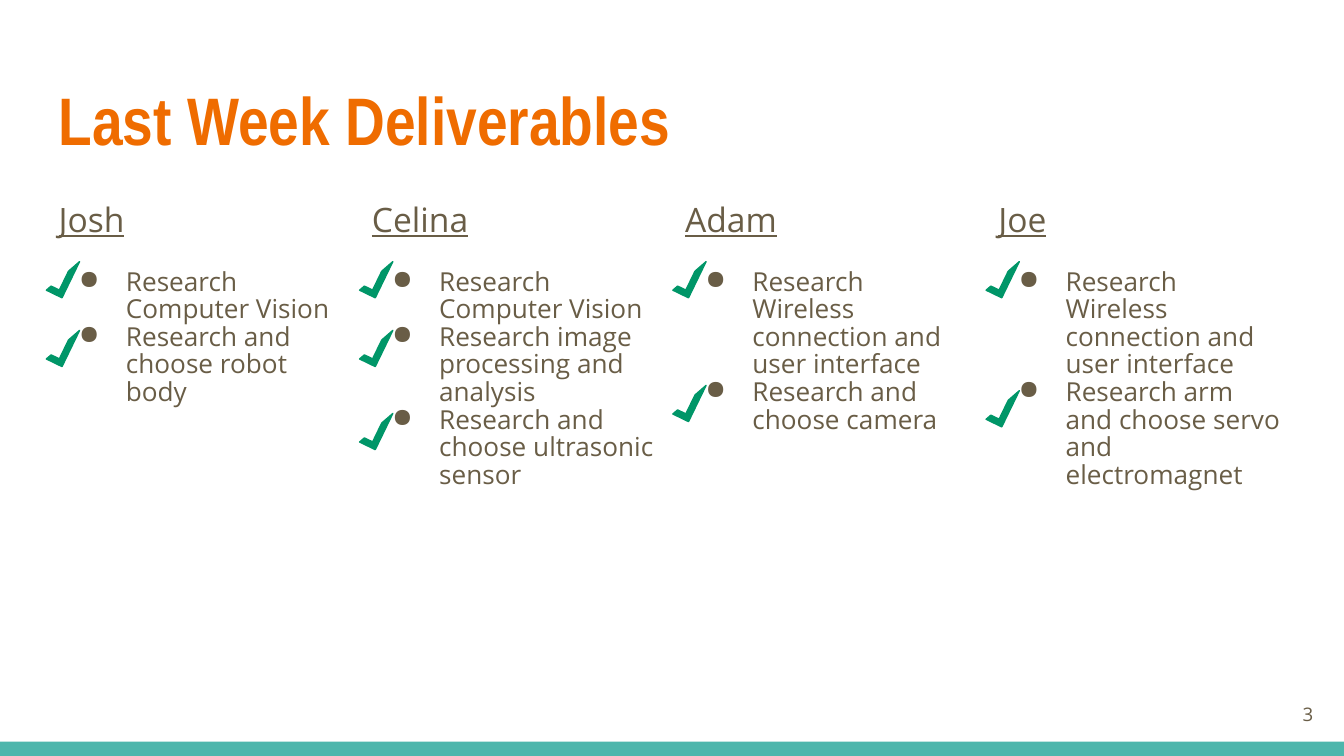
from lxml.etree import SubElement
from pptx import Presentation
from pptx.dml.color import RGBColor
from pptx.enum.shapes import MSO_SHAPE
from pptx.enum.text import MSO_ANCHOR, PP_ALIGN
from pptx.oxml.ns import qn
from pptx.util import Cm, Pt

TITLE = "Last Week Deliverables"
PAGE_NUMBER = "3"
# Each person: name, then (task, top of its check mark in cm)
PEOPLE = [
    ("Josh", [("Research Computer Vision", 5.05),
              ("Research and choose robot body", 6.35)]),
    ("Celina", [("Research Computer Vision", 5.05),
                ("Research image processing and analysis", 6.35),
                ("Research and choose ultrasonic sensor", 7.92)]),
    ("Adam", [("Research Wireless connection and user interface", 5.05),
              ("Research and choose camera", 7.39)]),
    ("Joe", [("Research Wireless connection and user interface", 5.05),
             ("Research arm and choose servo and electromagnet", 7.49)]),
]
COLORS = {"title": "EF6C00", "text": "695D46", "check": "009668", "band": "4DB6AC"}
WIDTH, HEIGHT = 25.4, 14.29
LEFT, COLUMN_WIDTH = 0.86, 5.92
BAND_HEIGHT = 0.27
LINE_SPACING = 0.88


def color(name):
    return RGBColor.from_string(COLORS[name])


def add_box(page, left, top, width, height):
    box = page.shapes.add_textbox(Cm(left), Cm(top), Cm(width), Cm(height))
    frame = box.text_frame
    frame.word_wrap = True
    frame.margin_left = frame.margin_right = Cm(0.25)
    frame.margin_top = frame.margin_bottom = Cm(0.25)
    return frame


def write(para, text, size, ink="text", font="Open Sans"):
    para.text = text
    para.font.size = Pt(size)
    para.font.name = font
    para.font.color.rgb = color(ink)


def add_bullet(para):
    properties = para._p.get_or_add_pPr()
    properties.set("marL", str(Cm(1.27)))
    properties.set("indent", str(-Cm(0.89)))
    bullet_color = SubElement(properties, qn("a:buClr"))
    SubElement(bullet_color, qn("a:srgbClr")).set("val", COLORS["text"])
    SubElement(properties, qn("a:buChar")).set("char", "●")


def add_solid(page, kind, left, top, width, height, fill):
    shape = page.shapes.add_shape(kind, Cm(left), Cm(top), Cm(width), Cm(height))
    shape.shadow.inherit = False
    shape.fill.solid()
    shape.fill.fore_color.rgb = color(fill)
    return shape


def add_check(page, left, top):
    """A half frame, mirrored and turned, reads as a check mark."""
    check = add_solid(page, MSO_SHAPE.HALF_FRAME, left, top, 0.76, 0.33, "check")
    check.line.color.rgb = color("check")
    check.line.width = Pt(0.75)
    check.rotation = 115.9
    check._element.spPr.find(qn("a:xfrm")).set("flipH", "1")


def add_column(page, left, name, tasks):
    frame = add_box(page, left, 3.51, COLUMN_WIDTH, 9.17)
    heading = frame.paragraphs[0]
    write(heading, name, 18)
    heading.font.underline = True
    for index, (task, _) in enumerate(tasks):
        para = frame.add_paragraph()
        write(para, task, 14)
        para.line_spacing = LINE_SPACING
        para.space_before = Pt(0 if index else 16)
        add_bullet(para)


deck = Presentation()
deck.slide_width, deck.slide_height = Cm(WIDTH), Cm(HEIGHT)
page = deck.slides.add_slide(deck.slide_layouts[6])

band = add_solid(page, MSO_SHAPE.RECTANGLE, 0, HEIGHT - BAND_HEIGHT,
                 WIDTH, BAND_HEIGHT, "band")
band.line.fill.background()

title = add_box(page, LEFT, 1.24, WIDTH - 2 * LEFT, 1.96).paragraphs[0]
write(title, TITLE, 36, "title", "Arial Narrow")
title.font.bold = True

number_frame = add_box(page, 23.55, 12.95, 1.52, 1.09)
number_frame.vertical_anchor = MSO_ANCHOR.MIDDLE
number = number_frame.paragraphs[0]
write(number, PAGE_NUMBER, 10)
number.alignment = PP_ALIGN.RIGHT

for column, (name, tasks) in enumerate(PEOPLE):
    left = LEFT + column * COLUMN_WIDTH
    add_column(page, left, name, tasks)
    for _, check_top in tasks:
        add_check(page, left - 0.05, check_top)

deck.save("out.pptx")
